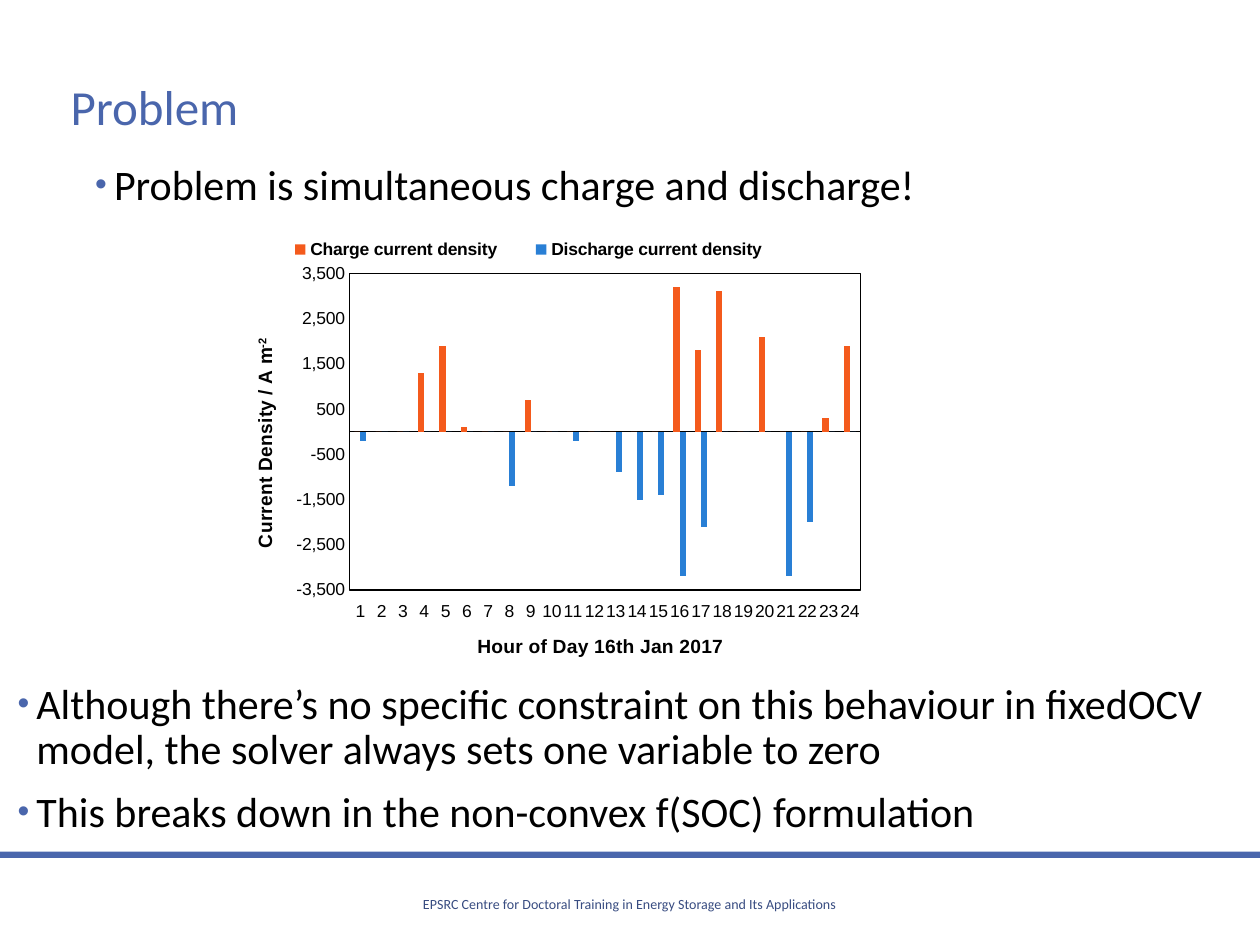
from lxml import etree
from pptx import Presentation
from pptx.chart.data import CategoryChartData
from pptx.dml.color import RGBColor
from pptx.enum import chart as ch, shapes, text
from pptx.oxml import parse_xml
from pptx.oxml.ns import nsdecls, qn
from pptx.util import Cm, Pt

BLUE = RGBColor(0x4A, 0x66, 0xAC)
DARK_BLUE = RGBColor(0x38, 0x4C, 0x81)
WHITE = RGBColor(0xFF, 0xFF, 0xFF)
BLACK = RGBColor(0, 0, 0)
ORANGE = RGBColor(0xF4, 0x5A, 0x1C)
BRIGHT_BLUE = RGBColor(0x29, 0x7F, 0xD5)


def set_bullets(tf, lines):
    """Fill a text frame with bulleted paragraphs."""
    tf.word_wrap = True
    tf.auto_size = text.MSO_AUTO_SIZE.NONE
    tf.text = "\n".join(lines)
    for p in tf.paragraphs:
        p.line_spacing = 0.9
        p.space_before = Pt(10)
        font = p.runs[0].font
        font.name, font.size, font.color.rgb = "Calibri", Pt(24), BLACK
        pPr = p._p.get_or_add_pPr()
        pPr.set("marL", str(Cm(0.48)))
        pPr.set("indent", str(Cm(-0.38)))
        color = etree.SubElement(pPr, qn("a:buClr"))
        etree.SubElement(color, qn("a:srgbClr"), val=str(BLUE))
        etree.SubElement(pPr, qn("a:buSzPct"), val="80000")
        etree.SubElement(pPr, qn("a:buFont"), typeface="Arial")
        etree.SubElement(pPr, qn("a:buChar"), char="•")


def set_layout(element, **fractions):
    """Place a chart part by fractions of the chart area."""
    for old in element.findall(qn("c:layout")):
        element.remove(old)
    layout = etree.Element(qn("c:layout"))
    manual = etree.SubElement(layout, qn("c:manualLayout"))
    if element.tag == qn("c:plotArea"):
        etree.SubElement(manual, qn("c:layoutTarget"), val="inner")
    for key in ("x", "y"):
        etree.SubElement(manual, qn(f"c:{key}Mode"), val="edge")
    for key, value in fractions.items():
        etree.SubElement(manual, qn(f"c:{key}"), val=str(value))
    overlay = element.find(qn("c:overlay"))
    if overlay is None:
        element.insert(0, layout)
    else:
        overlay.addprevious(layout)


prs = Presentation()
prs.slide_width, prs.slide_height = Cm(25.4), Cm(19.05)
s = prs.slides.add_slide(prs.slide_layouts[1])

# Blue background, showing as a band between two white panels
s.background.fill.solid()
s.background.fill.fore_color.rgb = BLUE
for left, top, width, height in ((-0.1, 0, 25.5, 17.17), (0, 17.3, 25.4, 1.75)):
    sp = s.shapes.add_shape(shapes.MSO_SHAPE.RECTANGLE,
                            Cm(left), Cm(top), Cm(width), Cm(height))
    sp.shadow.inherit = False
    sp.fill.solid()
    sp.fill.fore_color.rgb = WHITE
    sp.line.fill.background()
    s.shapes._spTree.insert(2, sp._element)

# Footer
footer = s.shapes.add_textbox(Cm(4.95), Cm(17.93), Cm(15.5), Cm(0.61))
tf = footer.text_frame
tf.word_wrap = True
tf.text = "EPSRC Centre for Doctoral Training in Energy Storage and Its Applications"
p = tf.paragraphs[0]
p.alignment = text.PP_ALIGN.CENTER
font = p.runs[0].font
font.name, font.size, font.color.rgb = "Calibri", Pt(8), DARK_BLUE

# Title
title = s.shapes.title
title.left, title.top, title.width, title.height = Cm(1.17), Cm(1.02), Cm(17.25), Cm(2.39)
tf = title.text_frame
tf.text = "Problem"
tf.vertical_anchor = text.MSO_ANCHOR.MIDDLE
p = tf.paragraphs[0]
p.alignment = text.PP_ALIGN.LEFT
p.line_spacing = 0.9
font = p.runs[0].font
font.name, font.size, font.color.rgb = "Calibri", Pt(28), BLUE

# Bullets above and below the chart
body = s.placeholders[1]
body.left, body.top, body.width, body.height = Cm(0), Cm(13.64), Cm(24.82), Cm(1.37)
set_bullets(body.text_frame, [
    "Although there’s no specific constraint on this behaviour in fixedOCV model, "
    "the solver always sets one variable to zero",
    "This breaks down in the non-convex f(SOC) formulation",
])
intro = s.shapes.add_textbox(Cm(1.57), Cm(3.18), Cm(23.04), Cm(1.37))
set_bullets(intro.text_frame, ["Problem is simultaneous charge and discharge!"])

# Chart of current density by hour
charge = {4: 1300, 5: 1900, 6: 100, 9: 700, 16: 3200, 17: 1800, 18: 3100,
          20: 2100, 23: 300, 24: 1900}
discharge = {1: -200, 8: -1200, 11: -200, 13: -900, 14: -1500, 15: -1400,
             16: -3200, 17: -2100, 21: -3200, 22: -2000}
hours = range(1, 25)
data = CategoryChartData()
data.categories = [str(hour) for hour in hours]
for name, values in (("Charge current density", charge),
                     ("Discharge current density", discharge)):
    data.add_series(name, [values.get(hour, 0) for hour in hours])
chart = s.shapes.add_chart(ch.XL_CHART_TYPE.COLUMN_CLUSTERED,
                           Cm(4.55), Cm(4.55), Cm(14.71), Cm(8.81), data).chart
chart.has_title = False
chart.font.name, chart.font.size, chart.font.color.rgb = "Calibri", Pt(10), BLACK
plot = chart.plots[0]
plot.gap_width, plot.overlap, plot.vary_by_categories = 150, 0, False
for series, color in zip(plot.series, (ORANGE, BRIGHT_BLUE)):
    series.invert_if_negative = False
    series.format.fill.solid()
    series.format.fill.fore_color.rgb = color

# Axes and their titles
cat, val = chart.category_axis, chart.value_axis
for axis, words in ((cat, ["Hour of Day 16th Jan 2017"]),
                    (val, ["Current Density / A m", "-2"])):
    axis.major_tick_mark = axis.minor_tick_mark = ch.XL_TICK_MARK.NONE
    axis.has_major_gridlines = False
    font = axis.tick_labels.font
    font.name, font.size, font.color.rgb = "Arial", Pt(10), BLACK
    p = axis.axis_title.text_frame.paragraphs[0]
    for word in words:
        r = p.add_run()
        r.text = word
        font = r.font
        font.name, font.size, font.bold, font.color.rgb = "Arial", Pt(11), True, BLACK
p.runs[1]._r.get_or_add_rPr().set("baseline", "30000")
cat.tick_label_position = ch.XL_TICK_LABEL_POSITION.LOW
cat.format.line.color.rgb = BLACK
cat.format.line.width = Pt(0.75)
val.minimum_scale, val.maximum_scale, val.major_unit = -3500, 3500, 1000
val.tick_labels.number_format = "#,##0"
val.tick_labels.number_format_is_linked = False
val.format.line.fill.background()

# Legend
chart.has_legend = True
legend = chart.legend
legend.position = ch.XL_LEGEND_POSITION.BOTTOM
legend.include_in_layout = False
font = legend.font
font.name, font.size, font.bold, font.color.rgb = "Arial", Pt(10), True, BLACK

# Positions inside the chart, and the plot frame
plot_area = chart._chartSpace.chart.plotArea
set_layout(plot_area, x=0.17, y=0.11, w=0.7, h=0.73)
set_layout(legend._element, x=0.05, y=0.02, w=0.73, h=0.07)
set_layout(cat.axis_title._element, x=0.34, y=0.93)
set_layout(val.axis_title._element, x=0.03, y=0.25)
plot_area.append(parse_xml(
    f'<c:spPr {nsdecls("c", "a")}><a:noFill/><a:ln w="{Pt(0.75)}"><a:solidFill>'
    f'<a:srgbClr val="{BLACK}"/></a:solidFill></a:ln></c:spPr>'))

prs.save("out.pptx")
